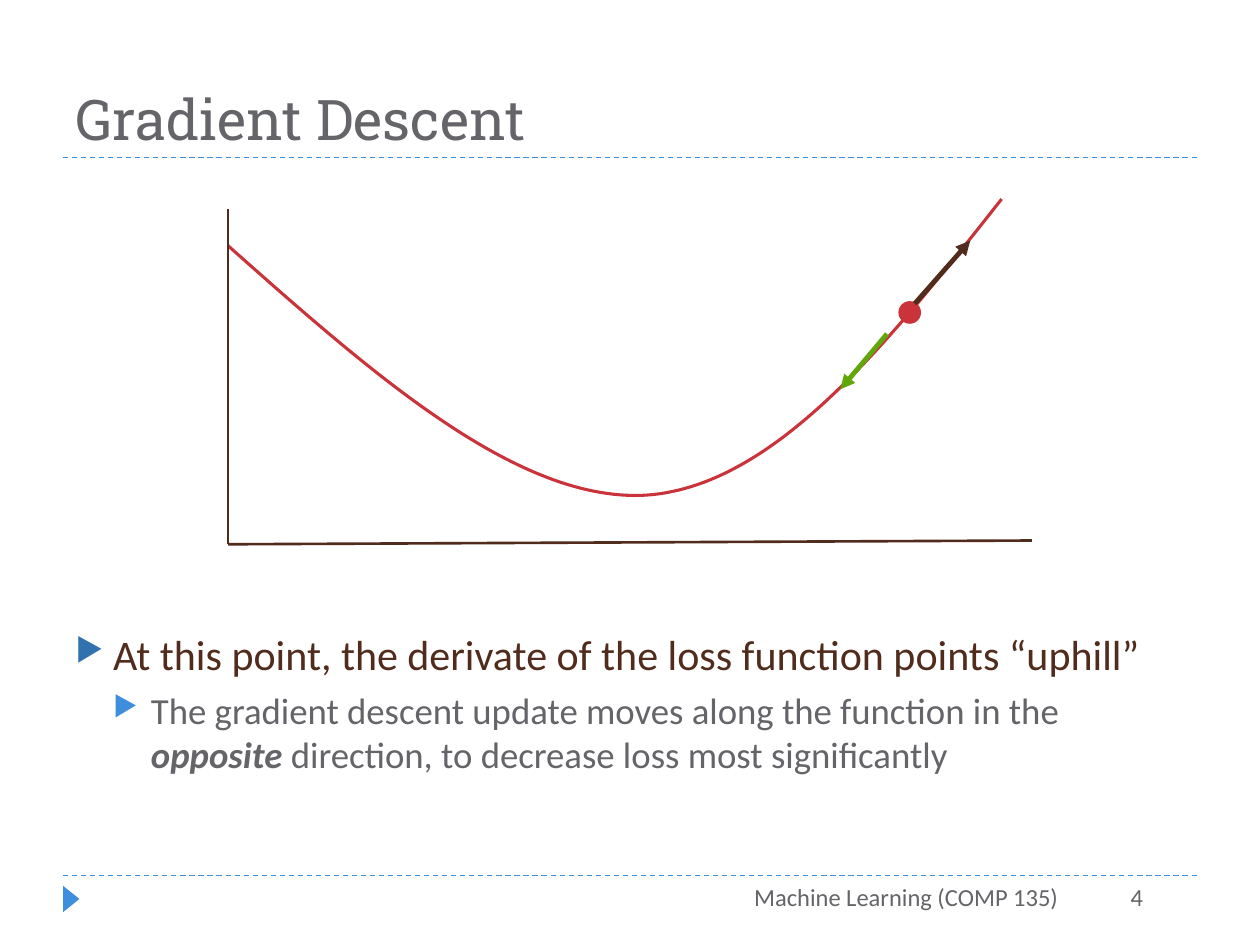
from dataclasses import dataclass

from lxml import etree
from pptx import Presentation
from pptx.dml.color import RGBColor
from pptx.enum.dml import MSO_LINE
from pptx.enum.shapes import MSO_CONNECTOR, MSO_SHAPE
from pptx.enum.text import MSO_ANCHOR, PP_ALIGN
from pptx.oxml.ns import qn
from pptx.util import Inches, Pt


@dataclass(frozen=True)
class Theme:
    gray: str = "646469"
    brown: str = "512C1D"
    blue: str = "3E8EDE"
    dark_blue: str = "3071AE"
    red: str = "CB333B"
    green: str = "61A60A"
    title_font: str = "Roboto Slab"
    body_font: str = "Calibri"
    title_size: int = 32
    body_size: int = 24
    detail_size: int = 21
    footer_size: int = 14


def bezier_points(start, control_1, control_2, end, steps=60):
    """Points along a cubic curve, without its start."""
    points = []
    for step in range(1, steps + 1):
        t = step / steps
        weights = ((1 - t) ** 3, 3 * t * (1 - t) ** 2, 3 * t**2 * (1 - t), t**3)
        corners = (start, control_1, control_2, end)
        points.append(tuple(sum(w * c[axis] for w, c in zip(weights, corners))
                            for axis in (0, 1)))
    return points


class SlideBuilder:
    def __init__(self, slide, theme):
        self.slide = slide
        self.theme = theme

    def line(self, start, end, color, width, dash=None, arrow=False):
        connector = self.slide.shapes.add_connector(
            MSO_CONNECTOR.STRAIGHT, *map(Inches, start + end))
        connector.line.color.rgb = RGBColor.from_string(color)
        connector.line.width = Pt(width)
        if dash is not None:
            connector.line.dash_style = dash
        properties = connector._element.spPr
        if arrow:
            etree.SubElement(properties.find(qn("a:ln")), qn("a:tailEnd"),
                             type="triangle")
        etree.SubElement(properties, qn("a:effectLst"))

    def shape(self, kind, left, top, width, height, color, rotation=0):
        shape = self.slide.shapes.add_shape(
            kind, *map(Inches, (left, top, width, height)))
        shape.rotation = rotation
        shape.shadow.inherit = False
        shape.fill.solid()
        shape.fill.fore_color.rgb = RGBColor.from_string(color)
        shape.line.fill.background()

    def curve(self, start, segments, color, width):
        points = [start]
        for segment in segments:
            points += bezier_points(points[-1], *segment)
        corners = [(Inches(x), Inches(y)) for x, y in points]
        builder = self.slide.shapes.build_freeform(*corners[0])
        builder.add_line_segments(corners[1:], close=False)
        shape = builder.convert_to_shape()
        shape.shadow.inherit = False
        shape.fill.background()
        shape.line.color.rgb = RGBColor.from_string(color)
        shape.line.width = Pt(width)

    def text_box(self, left, top, width, height, anchor=MSO_ANCHOR.TOP):
        box = self.slide.shapes.add_textbox(
            *map(Inches, (left, top, width, height)))
        box.text_frame.word_wrap = True
        box.text_frame.vertical_anchor = anchor
        return box.text_frame

    def add_runs(self, paragraph, runs, size, color, font=None,
                 align=PP_ALIGN.LEFT):
        paragraph.alignment = align
        for text, emphasized in runs:
            run = paragraph.add_run()
            run.text = text
            run.font.name = font or self.theme.body_font
            run.font.size = Pt(size)
            run.font.color.rgb = RGBColor.from_string(color)
            run.font.bold = run.font.italic = emphasized

    def bullet(self, paragraph, level, color):
        paragraph.level = level
        properties = paragraph._p.get_or_add_pPr()
        properties.set("marL", str(Inches(0.3 * (level + 1))))
        properties.set("indent", str(Inches(-0.3)))
        bullet_color = etree.SubElement(properties, qn("a:buClr"))
        etree.SubElement(bullet_color, qn("a:srgbClr"), val=color)
        etree.SubElement(properties, qn("a:buSzPct"), val="76000")
        etree.SubElement(properties, qn("a:buChar"), char="▶")


def main():
    presentation = Presentation()
    presentation.slide_width = Inches(10)
    presentation.slide_height = Inches(7.5)
    theme = Theme()
    slide = presentation.slides.add_slide(presentation.slide_layouts[6])
    builder = SlideBuilder(slide, theme)

    # Rules and footer marker
    for y in (6.95, 1.25):
        builder.line((0.5, y), (9.5, y), theme.blue, 0.75, dash=MSO_LINE.DASH)
    builder.shape(MSO_SHAPE.ISOSCELES_TRIANGLE, 0.46, 7.07, 0.21, 0.13,
                  theme.blue, rotation=90)

    # Title
    title = builder.text_box(0.5, 0.17, 9, 1.08, MSO_ANCHOR.BOTTOM)
    builder.add_runs(title.paragraphs[0], [("Gradient Descent", False)],
                     theme.title_size, theme.gray, theme.title_font)

    # Bulleted text
    body = builder.text_box(0.5, 4.94, 9, 1.75)
    point = body.paragraphs[0]
    builder.bullet(point, 0, theme.dark_blue)
    builder.add_runs(point, [
        ("At this point, the derivate of the loss function points “uphill”", False),
    ], theme.body_size, theme.brown)
    detail = body.add_paragraph()
    builder.bullet(detail, 1, theme.blue)
    detail.space_before = Pt(5)
    builder.add_runs(detail, [
        ("The gradient descent update moves along the function in the ", False),
        ("opposite ", True),
        ("direction, to decrease loss most significantly", False),
    ], theme.detail_size, theme.gray)

    # Footer
    for text, left, width in (("Machine Learning (COMP 135)", 3.83, 4.67),
                              ("4", 8.08, 1.09)):
        footer = builder.text_box(left, 6.95, width, 0.4)
        builder.add_runs(footer.paragraphs[0], [(text, False)],
                         theme.footer_size, theme.gray, align=PP_ALIGN.RIGHT)

    # Loss curve and current point
    builder.curve((1.81, 1.95), [
        ((2.96, 2.97), (4.11, 3.99), (5.13, 3.93)),
        ((6.15, 3.86), (7.05, 2.72), (7.95, 1.58)),
    ], theme.red, 1.75)
    builder.shape(MSO_SHAPE.OVAL, 7.13, 2.39, 0.18, 0.18, theme.red)

    # Axes
    origin = (1.81, 4.32)
    for axis_end in ((1.81, 1.66), (8.19, 4.29)):
        builder.line(origin, axis_end, theme.brown, 1.5)

    # Downhill update and uphill gradient
    builder.line((7.04, 2.65), (6.67, 3.09), theme.green, 2.75, arrow=True)
    builder.line((7.26, 2.41), (7.7, 1.91), theme.brown, 2.75, arrow=True)

    presentation.save("out.pptx")


if __name__ == "__main__":
    main()
